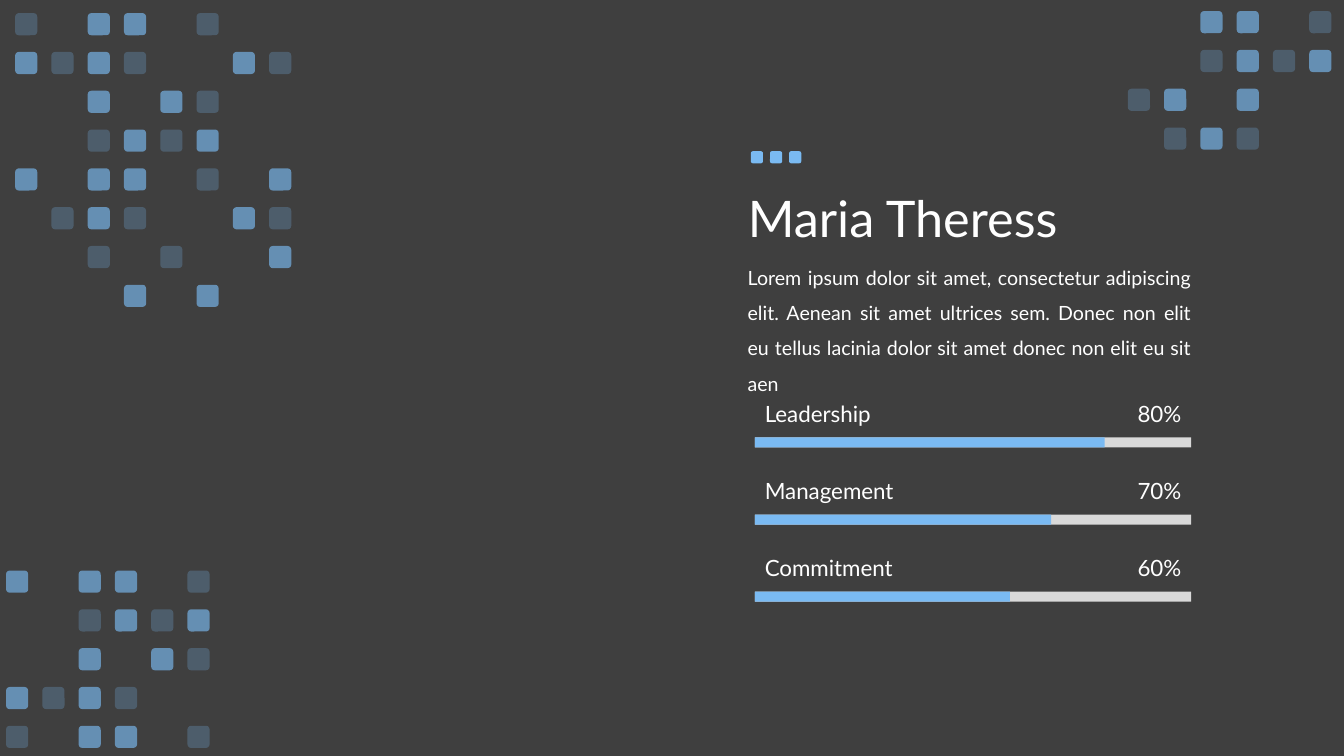
from dataclasses import dataclass

from pptx import Presentation
from pptx.dml.color import RGBColor as Rgb
from pptx.enum.shapes import MSO_SHAPE as Form
from pptx.enum.text import MSO_ANCHOR as Anchor
from pptx.enum.text import MSO_AUTO_SIZE as Fit
from pptx.enum.text import PP_ALIGN as Align
from pptx.oxml import parse_xml
from pptx.oxml.ns import nsdecls, qn
from pptx.util import Emu, Pt

SCALE = 914400 // 200
SIZE = (2667, 1500)
TILE, COL, ROW = 44, 72, 77
SHADES = {"#": 65, "-": 25}


@dataclass(frozen=True)
class Theme:
    """Hold the colours, the font and the type sizes."""
    back: str = "3F3F3F"
    blue: str = "7ABAF2"
    grey: str = "D9D9D9"
    ink: str = "FFFFFF"
    font: str = "Lato"
    title: int = 36
    body: int = 14
    label: int = 16


THEME = Theme()

LOREM = (
    "Lorem ipsum dolor sit amet, consectetur adipiscing elit. "
    "Aenean sit amet ultrices sem. Donec non elit eu tellus lacinia "
    "dolor sit amet donec non elit eu sit aen"
)

MOSAICS = [
    (12, 1132, ["#.##.-", "..-#-#", "..#.#-", "#-#-..", "-.##.-"]),
    (30, 26, ["-.##.-..", "#-#-..#-", "..#.#-..", "..-#-#..",
              "#.##.-.#", ".-#-..#-", "..-.-..#", "...#.#.."]),
    (2238, 22, ["..##.-", "..-#-#", "-#.#..", ".-#-.."]),
]

SKILLS = [
    ("Leadership", "80%", 694),
    ("Management", "70%", 588),
    ("Commitment", "60%", 506),
]


def px(*nums):
    """Turn px into EMU."""
    return [Emu(num * SCALE) for num in nums]


def block(shapes, box, color, form=Form.RECTANGLE, alpha=100):
    """Add a plain filled shape."""
    shape = shapes.add_shape(form, *px(*box))
    shape.shadow.inherit = False
    shape.line.fill.background()
    shape.fill.solid()
    shape.fill.fore_color.rgb = Rgb.from_string(color)
    if alpha < 100:
        tone = shape.element.spPr.find(".//" + qn("a:srgbClr"))
        tone.append(parse_xml(f'<a:alpha {nsdecls("a")} val="{alpha * 1000}"/>'))


def write(frame, text, size, align=Align.LEFT, anchor=Anchor.TOP,
          space=1.0, fit=Fit.SHAPE_TO_FIT_TEXT):
    """Fill a text frame with one formatted paragraph."""
    frame.word_wrap = True
    frame.auto_size = fit
    frame.vertical_anchor = anchor
    para = frame.paragraphs[0]
    para.text = text
    para.alignment = align
    para.line_spacing = space
    font = para.font
    font.name, font.size = THEME.font, Pt(size)
    font.color.rgb = Rgb.from_string(THEME.ink)


def note(slide, box, text, size, **look):
    """Add a text box."""
    write(slide.shapes.add_textbox(*px(*box)).text_frame, text, size, **look)


def head(slide, box, text):
    """Place and fill the title."""
    title = slide.shapes.title
    title.left, title.top, title.width, title.height = px(*box)
    write(title.text_frame, text, THEME.title, anchor=Anchor.MIDDLE,
          space=0.9, fit=Fit.NONE)


def mosaic(slide, left, top, rows):
    """Draw a grouped grid of strong and faint tiles."""
    group = slide.shapes.add_group_shape()
    for row, line in enumerate(rows):
        for col, mark in enumerate(line):
            if mark in SHADES:
                box = (left + col * COL, top + row * ROW, TILE, TILE)
                block(group.shapes, box, THEME.blue,
                      Form.ROUNDED_RECTANGLE, SHADES[mark])


def dots(slide, left, top, count):
    """Draw the row of small accent squares."""
    group = slide.shapes.add_group_shape()
    for i in range(count):
        block(group.shapes, (left + i * 38, top, 24, 24), THEME.blue,
              Form.ROUNDED_RECTANGLE)


def skill(slide, top, name, share, width):
    """Draw one labelled progress bar."""
    left, full = 1498, 866
    block(slide.shapes, (left, top + 84, full, 20), THEME.grey)
    block(slide.shapes, (left, top + 84, width, 20), THEME.blue)
    note(slide, (left, top, 414, 74), name, THEME.label, anchor=Anchor.MIDDLE)
    note(slide, (left + full - 212, top, 212, 74), share, THEME.label,
         align=Align.RIGHT, anchor=Anchor.MIDDLE)


def main():
    """Build and save the slide."""
    deck = Presentation()
    deck.slide_width, deck.slide_height = px(*SIZE)
    slide = deck.slides.add_slide(deck.slide_layouts[5])
    fill = slide.background.fill
    fill.solid()
    fill.fore_color.rgb = Rgb.from_string(THEME.back)
    for left, top, rows in MOSAICS:
        mosaic(slide, left, top, rows)
    head(slide, (1464, 294, 1200, 290), "Maria Theress")
    note(slide, (1464, 494, 920, 222), LOREM, THEME.body,
         align=Align.JUSTIFY, space=1.5)
    for i, item in enumerate(SKILLS):
        skill(slide, 784 + i * 153, *item)
    dots(slide, 1490, 300, 3)
    deck.save("out.pptx")


if __name__ == "__main__":
    main()
